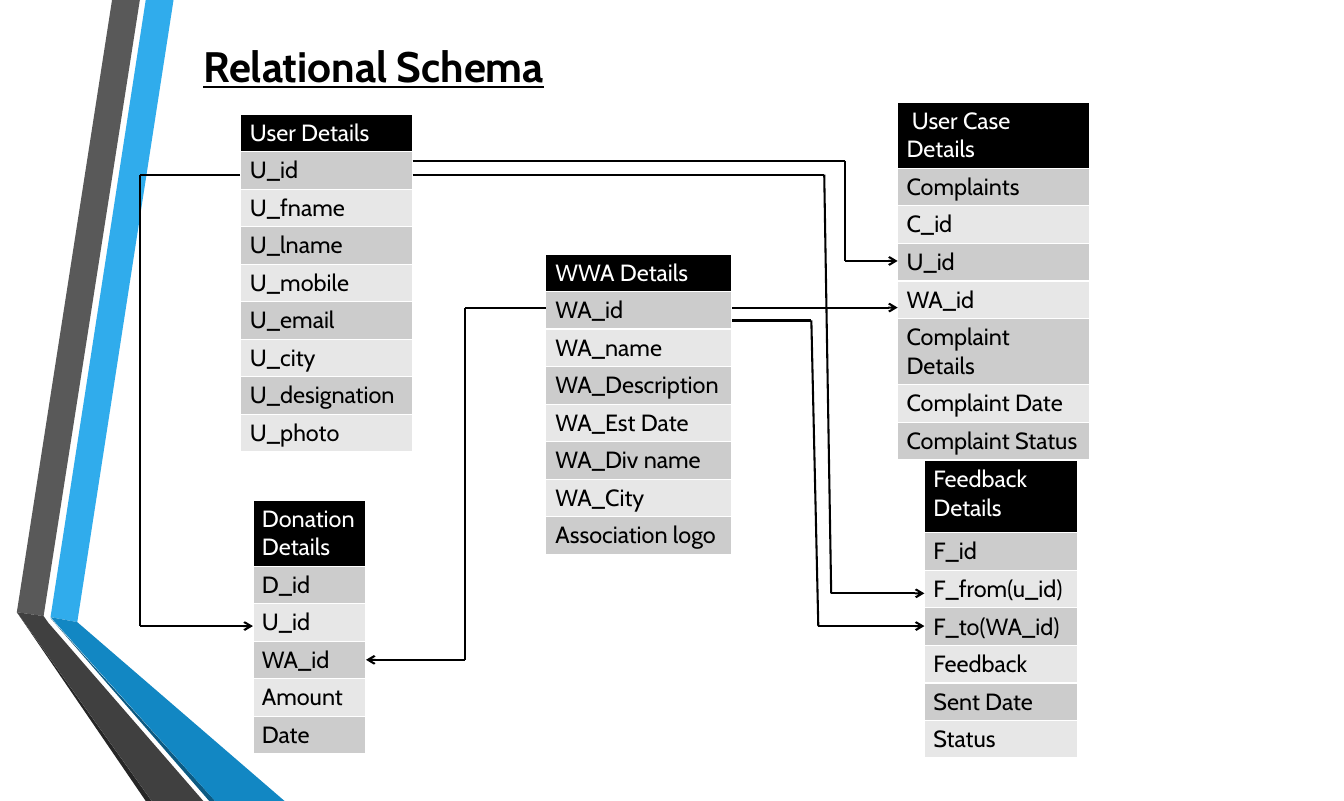
from dataclasses import dataclass
from itertools import pairwise

from lxml.etree import SubElement
from pptx import Presentation
from pptx.dml.color import RGBColor
from pptx.enum.shapes import MSO_CONNECTOR as Connector
from pptx.enum.text import MSO_ANCHOR as Anchor, MSO_AUTO_SIZE as AutoSize, PP_ALIGN as Align
from pptx.oxml.ns import qn
from pptx.util import Inches, Pt

FONT = "Cabin"
COLORS = {
    "ink": "000000", "paper": "FFFFFF", "band": "CCCCCC", "light_band": "E7E7E7",
    "sky": "30ACEC", "blue": "1287C3", "navy": "0C5A82",
    "gray": "595959", "dark_gray": "404040", "charcoal": "262626",
}
COLUMNS, ROWS = 135.5, 80.73

RIBBONS = [
    ("sky", [(3.4, 62.2), (6.1, 62.7), (15.8, 0), (13, 0)]),
    ("gray", [(12.4, 0), (9.6, 0), (0, 61.7), (2.7, 62.1)]),
    ("charcoal", [(0, 61.7), (13, ROWS), (13.6, ROWS)]),
    ("navy", [(3.4, 62.3), (19.4, ROWS), (20, ROWS)]),
    ("blue", [(3.4, 62.2), (20, ROWS), (27, ROWS), (6.1, 62.7)]),
    ("dark_gray", [(18.8, ROWS), (3.2, 62.8), (2.7, 62.1), (0, 61.7), (13.6, ROWS)]),
]


@dataclass
class Box:
    left: float
    top: float
    width: float
    height: float

    @property
    def right(self):
        return self.left + self.width

    def frame(self):
        return [grid(value) for value in (self.left, self.top, self.width, self.height)]


@dataclass
class Entity:
    box: Box
    header: float
    inset: float
    name: str
    fields: list


USER = Entity(Box(24.2, 11.5, 17.4, 33.7), 3.74, 1, "User Details", [
    "U_id", "U_fname", "U_lname", "U_mobile", "U_email", "U_city",
    "U_designation", "U_photo"])
ASSOCIATION = Entity(Box(55, 25.6, 18.8, 30), 3.75, 1, "WWA Details", [
    "WA_id", "WA_name", "WA_Description", "WA_Est Date", "WA_Div name", "WA_City",
    "Association logo"])
USER_CASE = Entity(Box(90.5, 10.3, 19.4, 32.8), 6.6, 0.9, " User Case Details", [
    "Complaints", "C_id", "U_id", "WA_id", "Complaint Details", "Complaint Date",
    "Complaint Status"])
FEEDBACK = Entity(Box(93.2, 46.4, 15.4, 29.8), 7.3, 0.9, "Feedback Details", [
    "F_id", "F_from(u_id)", "F_to(WA_id)", "Feedback", "Sent Date", "Status"])
DONATION = Entity(Box(25.5, 50.4, 11.4, 25.3), 6.6, 0.9, "Donation Details", [
    "D_id", "U_id", "WA_id", "Amount", "Date"])
ENTITIES = [USER, ASSOCIATION, USER_CASE, FEEDBACK, DONATION]


def grid(units):
    return Inches(units / 10)


def color(name):
    return RGBColor.from_string(COLORS[name])


def add_run(para, text, size, color_name, bold=False, underline=False):
    span = para.add_run()
    span.text = text
    font = span.font
    font.name, font.size, font.bold, font.underline = FONT, Pt(size), bold, underline
    font.color.rgb = color(color_name)


def draw_ribbons(slide, box):
    for color_name, outline in RIBBONS:
        points = [(grid(box.left + x), grid(box.top + y)) for x, y in outline]
        builder = slide.shapes.build_freeform(*points[0])
        builder.add_line_segments(points[1:], close=True)
        ribbon = builder.convert_to_shape()
        ribbon.shadow.inherit = False
        ribbon.fill.solid()
        ribbon.fill.fore_color.rgb = color(color_name)
        ribbon.line.fill.background()


def draw_title(slide, box):
    title = slide.shapes.title
    title.left, title.top, title.width, title.height = box.frame()
    frame = title.text_frame
    frame.word_wrap = False
    frame.auto_size = AutoSize.NONE
    frame.vertical_anchor = Anchor.MIDDLE
    para = frame.paragraphs[0]
    para.alignment = Align.LEFT
    add_run(para, "Relational Schema", 30.9, "ink", bold=True, underline=True)


def draw_entity(slide, entity):
    labels = [entity.name, *entity.fields]
    table = slide.shapes.add_table(len(labels), 1, *entity.box.frame()).table
    field_height = (entity.box.height - entity.header) / len(entity.fields)
    for index, label in enumerate(labels):
        is_header = index == 0
        table.rows[index].height = grid(entity.header if is_header else field_height)
        cell = table.cell(index, 0)
        cell.margin_left = cell.margin_right = grid(entity.inset)
        cell.margin_top = cell.margin_bottom = grid(0.45)
        cell.fill.solid()
        band = "band" if index % 2 else "light_band"
        cell.fill.fore_color.rgb = color("ink" if is_header else band)
        add_run(cell.text_frame.paragraphs[0], label, 17, "paper" if is_header else "ink")


def draw_route(slide, points):
    for start, end in pairwise(points):
        ends = [grid(value) for value in (*start, *end)]
        segment = slide.shapes.add_connector(Connector.STRAIGHT, *ends)
        segment.line.color.rgb = color("ink")
        segment.line.width = Pt(1.5)
        SubElement(segment._element.spPr, qn("a:effectLst"))
    SubElement(segment.line._get_or_add_ln(), qn("a:tailEnd"), type="arrow")


def draw_relations(slide):
    user, association = USER.box, ASSOCIATION.box
    case, feedback, donation = USER_CASE.box, FEEDBACK.box, DONATION.box
    upper_user, lower_user = user.top + 4.7, user.top + 6.1
    upper_association, lower_association = association.top + 5.4, association.top + 6.7
    case_user = case.top + 16
    feedback_from, feedback_to = feedback.top + 13.4, feedback.top + 16.7
    donation_user, donation_association = donation.top + 12.7, donation.top + 16.1
    user_lane, association_lane = user.left - 10.1, association.left - 8.1
    case_lane = case.left - 5.3
    routes = [
        [(user.left, lower_user), (user_lane, lower_user),
         (user_lane, donation_user), (donation.left, donation_user)],
        [(user.right, upper_user), (case_lane, upper_user),
         (case_lane, case_user), (case.left, case_user)],
        [(user.right, lower_user), (feedback.left - 10.1, lower_user),
         (feedback.left - 9.4, feedback_from), (feedback.left, feedback_from)],
        [(association.left, upper_association), (association_lane, upper_association),
         (association_lane, donation_association), (donation.right, donation_association)],
        [(association.right, lower_association), (feedback.left - 11.4, lower_association),
         (feedback.left - 10.7, feedback_to), (feedback.left, feedback_to)],
        [(association.right, upper_association), (case.left, upper_association)],
    ]
    for points in routes:
        draw_route(slide, points)


def main():
    deck = Presentation()
    deck.slide_width = grid(COLUMNS)
    deck.slide_height = grid(ROWS)
    page = deck.slides.add_slide(deck.slide_layouts[5])
    page.background.fill.solid()
    page.background.fill.fore_color.rgb = color("paper")
    draw_ribbons(page, Box(1.7, 0, 27, ROWS))
    draw_title(page, Box(19.5, 3.5, 39.9, 6.2))
    for entity in ENTITIES:
        draw_entity(page, entity)
    draw_relations(page)
    deck.save("out.pptx")


if __name__ == "__main__":
    main()
